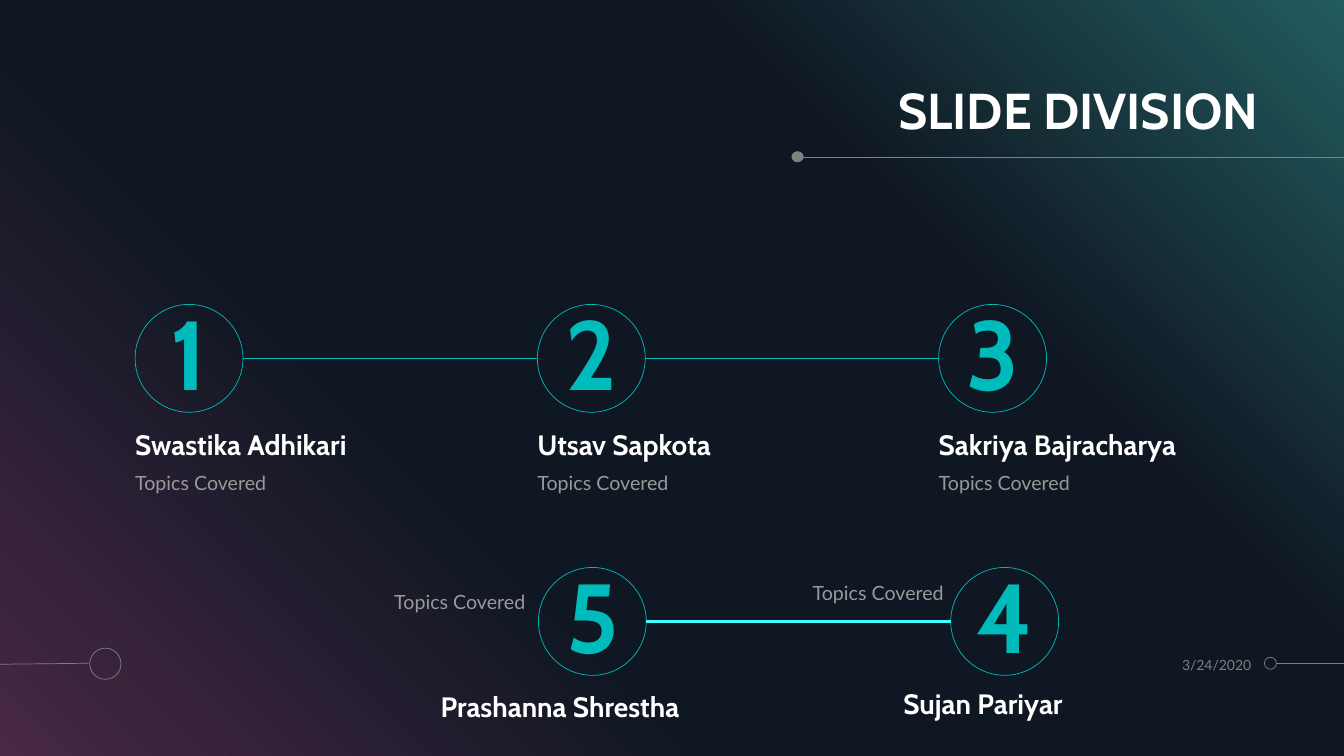
from lxml.etree import SubElement
from pptx import Presentation
from pptx.dml.color import RGBColor
from pptx.enum.shapes import MSO_CONNECTOR, MSO_SHAPE
from pptx.enum.text import MSO_ANCHOR, PP_ALIGN
from pptx.oxml.ns import qn
from pptx.util import Inches, Pt

TEAL, GRAY, WHITE, SOFT = "00BBBB", "808080", "FFFFFF", "999999"
DIAMETER = 1.07


def color(value):
    return RGBColor.from_string(value)


def add_backdrop(s, prs, stops):
    s.background.fill.solid()
    s.background.fill.fore_color.rgb = color("000000")
    sp = s.shapes.add_shape(MSO_SHAPE.RECTANGLE, 0, 0, prs.slide_width, prs.slide_height)
    sp.shadow.inherit = False
    sp.line.fill.background()
    sp.fill.gradient()
    sp.fill.gradient_angle = 45
    stop_list = sp._element.spPr.find(qn("a:gradFill")).find(qn("a:gsLst"))
    for stop in list(stop_list):
        stop_list.remove(stop)
    for percent, value in stops:
        stop = SubElement(stop_list, qn("a:gs"), pos=str(percent * 1000))
        SubElement(stop, qn("a:srgbClr"), val=value)


def add_line(s, x1, y1, x2, y2, line_color, width=0.5):
    line = s.shapes.add_connector(
        MSO_CONNECTOR.STRAIGHT, Inches(x1), Inches(y1), Inches(x2), Inches(y2))
    line.line.color.rgb = color(line_color)
    line.line.width = Pt(width)
    SubElement(line._element.spPr, qn("a:effectLst"))


def add_circle(s, x, y, w, h, line_color=None, fill_color=None):
    sp = s.shapes.add_shape(MSO_SHAPE.OVAL, Inches(x), Inches(y), Inches(w), Inches(h))
    sp.shadow.inherit = False
    if fill_color:
        sp.fill.solid()
        sp.fill.fore_color.rgb = color(fill_color)
    else:
        sp.fill.background()
    if line_color:
        sp.line.color.rgb = color(line_color)
        sp.line.width = Pt(0.5)
    else:
        sp.line.fill.background()
    return sp


def set_text(sp, text, font, size, text_color, bold=False,
             align=PP_ALIGN.LEFT, anchor=MSO_ANCHOR.TOP, spacing=1.0):
    tf = sp.text_frame
    tf.word_wrap = True
    tf.margin_left = tf.margin_right = tf.margin_top = tf.margin_bottom = 0
    tf.vertical_anchor = anchor
    p = tf.paragraphs[0]
    p.text = text
    p.alignment = align
    p.line_spacing = spacing
    p.font.name = font
    p.font.size = Pt(size)
    p.font.bold = bold
    p.font.color.rgb = color(text_color)


def add_text(s, x, y, w, h, *args, **kwargs):
    box = s.shapes.add_textbox(Inches(x), Inches(y), Inches(w), Inches(h))
    set_text(box, *args, **kwargs)


def add_member(s, number, name, circle, name_at, topics_at):
    sp = add_circle(s, *circle, DIAMETER, DIAMETER, line_color=TEAL)
    set_text(sp, number, "Cabin", 70, TEAL, bold=True, align=PP_ALIGN.CENTER,
             anchor=MSO_ANCHOR.MIDDLE, spacing=0.9)
    add_text(s, *name_at, 3.22, 0.36, name, "Cabin", 20, WHITE, bold=True,
             anchor=MSO_ANCHOR.BOTTOM, spacing=0.9)
    add_text(s, *topics_at, 3.22, 0.9, "Topics Covered", "Lato", 14, SOFT)


def add_ornaments(s):
    add_line(s, 13.33, 1.56, 7.94, 1.56, GRAY)
    add_circle(s, 7.85, 1.5, 0.12, 0.11, fill_color=GRAY)
    add_line(s, 12.66, 6.58, 13.33, 6.58, GRAY)
    add_circle(s, 12.54, 6.52, 0.12, 0.12, line_color=GRAY)
    add_line(s, 0, 6.59, 0.88, 6.58, GRAY)
    add_circle(s, 0.89, 6.43, 0.31, 0.31, line_color=GRAY)


def main():
    prs = Presentation()
    prs.slide_width, prs.slide_height = Inches(13.33), Inches(7.5)
    s = prs.slides.add_slide(prs.slide_layouts[6])
    add_backdrop(s, prs, [(0, "482845"), (34, "0F1722"), (69, "0F1722"), (100, "225B5F")])
    add_ornaments(s)
    add_text(s, 5.58, 0.77, 6.9, 0.62, "SLIDE DIVISION", "Cabin", 36, WHITE, bold=True,
             align=PP_ALIGN.RIGHT, anchor=MSO_ANCHOR.BOTTOM, spacing=0.9)

    columns = [1.34, 5.33, 9.31]
    for left, right in zip(columns, columns[1:]):
        add_line(s, left + DIAMETER, 3.56, right, 3.56, TEAL)
    names = ["Swastika Adhikari", "Utsav Sapkota", "Sakriya Bajracharya"]
    for i, (x, name) in enumerate(zip(columns, names), 1):
        add_member(s, str(i), name, (x, 3.02), (x, 4.22), (x, 4.67))

    add_text(s, 10.95, 6.43, 1.46, 0.33, "3/24/2020", "Lato", 10, GRAY,
             align=PP_ALIGN.RIGHT, anchor=MSO_ANCHOR.MIDDLE)
    add_member(s, "4", "Sujan Pariyar", (9.43, 5.63), (8.96, 6.79), (8.06, 5.76))
    add_member(s, "5", "Prashanna Shrestha", (5.34, 5.63), (4.37, 6.82), (3.91, 5.85))
    add_line(s, 9.43, 6.17, 6.41, 6.17, "3DFFFF", 0)
    prs.save("out.pptx")


if __name__ == "__main__":
    main()
